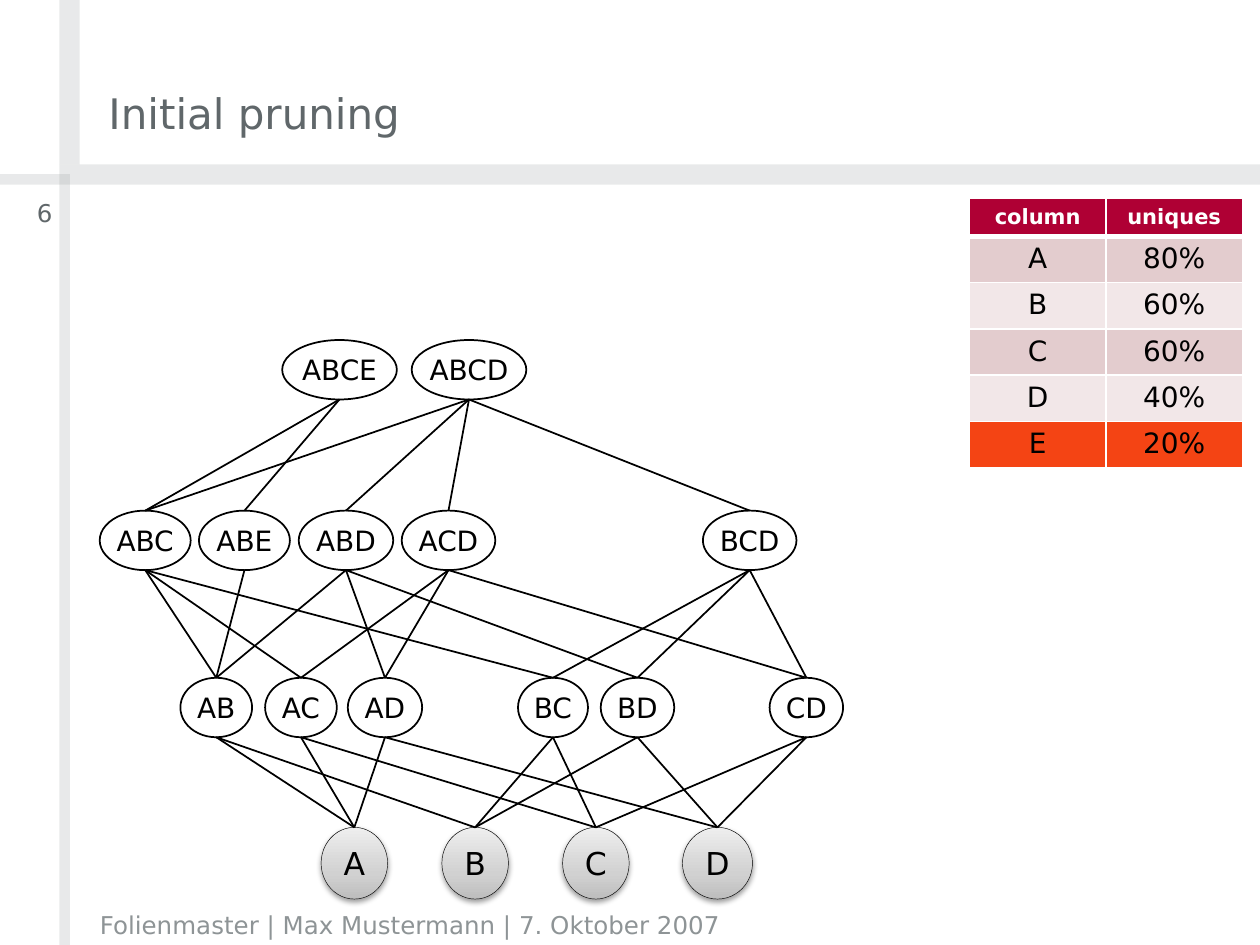
from lxml import etree
from pptx import Presentation
from pptx.dml.color import RGBColor
from pptx.enum.shapes import MSO_CONNECTOR, MSO_SHAPE
from pptx.enum.text import MSO_ANCHOR, MSO_AUTO_SIZE, PP_ALIGN
from pptx.oxml import parse_xml
from pptx.oxml.ns import nsdecls, qn
from pptx.util import Pt

LEFT, CENTER, RIGHT = PP_ALIGN.LEFT, PP_ALIGN.CENTER, PP_ALIGN.RIGHT
TOP, MIDDLE, BOTTOM = MSO_ANCHOR.TOP, MSO_ANCHOR.MIDDLE, MSO_ANCHOR.BOTTOM
NO_FIT = MSO_AUTO_SIZE.NONE
OVAL, RECTANGLE = MSO_SHAPE.OVAL, MSO_SHAPE.RECTANGLE
STRAIGHT = MSO_CONNECTOR.STRAIGHT
FONT = "DejaVu Sans"
GREY, DARK_GREY, BLACK, WHITE = "8E9496", "60676A", "000000", "FFFFFF"

# Each level: top and height, then centre and width of every node
LEVELS = [
    (0, 34, {"ABCE": (137, 65.5), "ABCD": (211, 65.5)}),
    (97.5, 34, {"ABC": (26, 52), "ABE": (82.7, 52), "ABD": (140.7, 54),
                "ACD": (199.3, 53.5), "BCD": (371.4, 53.5)}),
    (193, 34, {"AB": (66.6, 41), "AC": (115, 41), "AD": (163, 42.5),
               "BC": (259, 40), "BD": (307.3, 42), "CD": (403.8, 42)}),
    (278.5, 41, {"A": (145.5, 38), "B": (214.5, 38), "C": (283.5, 38), "D": (353, 40)}),
]
UNIQUES = [("A", "80%"), ("B", "60%"), ("C", "60%"), ("D", "40%"), ("E", "20%")]


def color(hex_code):
    return RGBColor.from_string(hex_code)


def write(frame, text, size=16, ink=BLACK, bold=False, align=CENTER, anchor=MIDDLE,
          wrap=True, inset=None):
    frame.word_wrap = wrap
    frame.vertical_anchor = anchor
    if inset is not None:
        frame.margin_left = frame.margin_right = Pt(inset)
        frame.margin_top = frame.margin_bottom = Pt(inset)
    paragraph = frame.paragraphs[0]
    paragraph.alignment = align
    run = paragraph.add_run()
    run.text = text
    run.font.name, run.font.size, run.font.bold = FONT, Pt(size), bold
    run.font.color.rgb = color(ink)


def add_label(slide, text, left, top, width, height, **style):
    label = slide.shapes.add_textbox(Pt(left), Pt(top), Pt(width), Pt(height))
    write(label.text_frame, text, size=14, inset=0, **style)


def add_frame(slide, left, top, width, height):
    """Translucent cross of bars; the far arms are half as thick."""
    bars = slide.shapes.add_group_shape().shapes
    thick, thin, cross_x, cross_y = 11.5, 6, 34, 94
    for x, y, w, h in [
        (cross_x, 0, thick, cross_y),
        (cross_x, cross_y, width - cross_x, thick),
        (cross_x, cross_y + thick, thin, height - cross_y - thick),
        (0, cross_y + thick - thin, cross_x + thin, thin),
    ]:
        bar = bars.add_shape(RECTANGLE, Pt(left + x), Pt(top + y), Pt(w), Pt(h))
        bar.shadow.inherit = False
        bar.line.fill.background()
        bar.fill.solid()
        bar.fill.fore_color.rgb = color(GREY)
        tint = bar.fill._xPr.find(qn("a:solidFill"))[0]
        etree.SubElement(tint, qn("a:alpha")).set("val", "20000")


def add_title(slide, text, left, top, width, height):
    title = slide.shapes.title
    title.left, title.top, title.width, title.height = map(Pt, (left, top, width, height))
    title.text_frame.auto_size = NO_FIT
    write(title.text_frame, text, size=24, ink=DARK_GREY, align=LEFT, anchor=BOTTOM, inset=0)


def shade_base_node(node):
    """Grey gradient, dark at the bottom, and a soft shadow."""
    stops = "".join(f'<a:gs pos="{pos}000"><a:srgbClr val="{tone}"/></a:gs>'
                    for pos, tone in [(0, "BDBDBD"), (35, "D1D1D1"), (100, "EEEEEE")])
    gradient = parse_xml(f'<a:gradFill {nsdecls("a")} rotWithShape="1"><a:gsLst>{stops}</a:gsLst>'
                         '<a:lin ang="16200000" scaled="0"/></a:gradFill>')
    properties = node._element.spPr
    properties.replace(properties.find(qn("a:solidFill")), gradient)
    properties.find(qn("a:effectLst")).append(parse_xml(
        f'<a:outerShdw {nsdecls("a")} blurRad="40000" dist="20000" dir="5400000" rotWithShape="0">'
        '<a:srgbClr val="000000"><a:alpha val="38000"/></a:srgbClr></a:outerShdw>'))


def add_node(lattice, columns, left, top, width, height, is_base):
    node = lattice.add_shape(OVAL, Pt(left), Pt(top), Pt(width), Pt(height))
    node.shadow.inherit = False
    node.fill.solid()
    node.fill.fore_color.rgb = color(WHITE)
    node.line.color.rgb = color(BLACK)
    node.line.width = Pt(0.25 if is_base else 1)
    write(node.text_frame, columns, size=18 if is_base else 16, wrap=False)
    if is_base:
        shade_base_node(node)
    return node


def add_edge(lattice, parent, child):
    edge = lattice.add_connector(STRAIGHT, parent.left + parent.width // 2,
                                 parent.top + parent.height,
                                 child.left + child.width // 2, child.top)
    edge.end_connect(child, 0)
    edge.line.color.rgb = color(BLACK)
    edge.line.width = Pt(1)
    etree.SubElement(edge._element.spPr, qn("a:effectLst"))


def add_lattice(slide, left, top):
    lattice = slide.shapes.add_group_shape().shapes
    parents = {}
    for level_top, height, places in LEVELS:
        nodes = {
            columns: add_node(lattice, columns, left + center - width / 2, top + level_top,
                              width, height, is_base=len(columns) == 1)
            for columns, (center, width) in places.items()
        }
        # A combination is linked to each of its subsets one level below
        for combination, parent in parents.items():
            for subset, child in nodes.items():
                if set(subset) < set(combination):
                    add_edge(lattice, parent, child)
        parents = nodes


def set_borders(cell, bottom):
    properties = cell._tc.get_or_add_tcPr()
    for index, (side, width) in enumerate([("L", 1), ("R", 1), ("T", 1), ("B", bottom)]):
        properties.insert(index, parse_xml(
            f'<a:ln{side} {nsdecls("a")} w="{Pt(width)}"><a:solidFill>'
            f'<a:srgbClr val="{WHITE}"/></a:solidFill></a:ln{side}>'))


def add_uniques_table(slide, left, top, width, height):
    rows = [("column", "uniques")] + UNIQUES
    fills = ["AF0034", "E3CCCE", "F2E7E8", "E3CCCE", "F2E7E8", "F44414"]
    header_height = 21
    table = slide.shapes.add_table(len(rows), 2, Pt(left), Pt(top), Pt(width), Pt(height)).table
    for r, (entries, fill) in enumerate(zip(rows, fills)):
        is_header = r == 0
        table.rows[r].height = Pt(header_height if is_header
                                  else (height - header_height) / len(UNIQUES))
        for c, entry in enumerate(entries):
            cell = table.cell(r, c)
            cell.fill.solid()
            cell.fill.fore_color.rgb = color(fill)
            write(cell.text_frame, entry, size=12 if is_header else 16,
                  ink=WHITE if is_header else BLACK, bold=is_header, anchor=TOP)
            set_borders(cell, bottom=3 if is_header else 1)


def main():
    deck = Presentation()
    deck.slide_width, deck.slide_height = Pt(720), Pt(540)
    slide = deck.slides.add_slide(deck.slide_layouts[5])
    add_frame(slide, 0, 0, 720, 540)
    add_title(slide, "Initial pruning", 62, 0, 492, 79)
    # Footer and page number
    add_label(slide, "Folienmaster | Max Mustermann | 7. Oktober 2007", 57, 517, 644, 20,
              ink=GREY, align=LEFT, anchor=BOTTOM)
    add_label(slide, "6", -13, 113, 43, 26, ink=DARK_GREY, align=RIGHT, anchor=TOP)
    add_lattice(slide, 57, 194.3)
    add_uniques_table(slide, 554, 113.5, 156, 153)
    deck.save("out.pptx")


if __name__ == "__main__":
    main()
